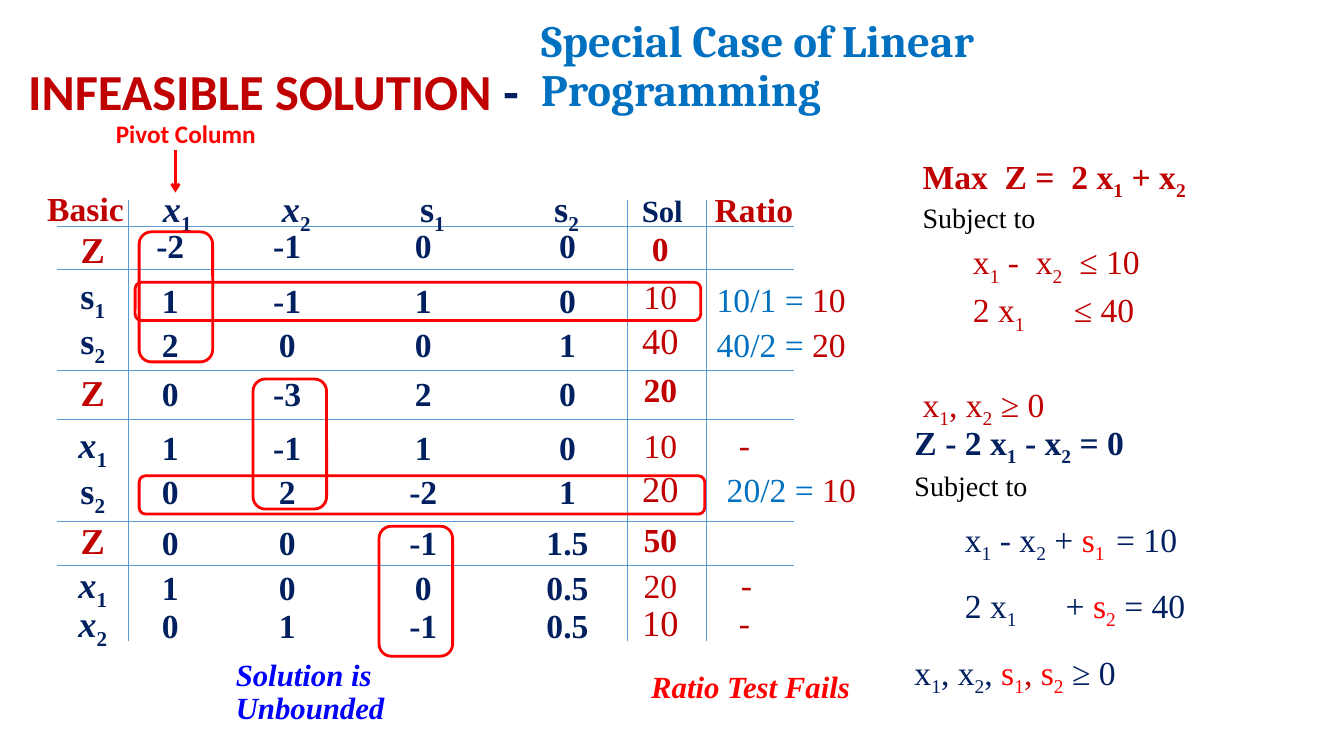
import pptx
import pptx.util
import pptx.dml.color
import pptx.enum.shapes
import pptx.enum.text
import pptx.oxml
import pptx.oxml.ns

Inches, Pt = pptx.util.Inches, pptx.util.Pt
ALIGN = pptx.enum.text.PP_ALIGN
ANCHOR = pptx.enum.text.MSO_ANCHOR

# ---- Content ("_" puts the next character in subscript) ----
DARK_RED, RED, NAVY, BLUE = "C00000", "FF0000", "002060", "0070C0"
BLACK, PURE_BLUE, RULE = "000000", "0000FF", "5B9BD5"
SERIF = "Times New Roman"

HEADINGS = ["x_1", "x_2", "s_1", "s_2"]
HEADING_CENTRES = [1.76, 2.94, 4.29, 5.62, 6.57]
COLUMN_CENTRES = [1.69, 2.85, 4.2, 5.63]

# basic variable, coefficients, solution, its size, tops of the three parts
TABLEAU = [
    ("Z", ["-2", "-1", "0", "0"], "0", 24, (2.25, 2.23, 2.26)),
    ("s_1", ["1", "-1", "1", "0"], "10", 24, (2.67, 2.77, 2.73)),
    ("s_2", ["2", "0", "0", "1"], "40", 26, (3.11, 3.21, 3.16)),
    ("Z", ["0", "-3", "2", "0"], "20", 24, (3.67, 3.7, 3.66)),
    ("x_1", ["1", "-1", "1", "0"], "10", 24, (4.14, 4.23, 4.21)),
    ("s_2", ["0", "2", "-2", "1"], "20", 26, (4.6, 4.67, 4.62)),
    ("Z", ["0", "0", "-1", "1.5"], "50", 24, (5.14, 5.17, 5.14)),
    ("x_1", ["1", "0", "0", "0.5"], "20", 24, (5.53, 5.62, 5.6)),
    ("x_2", ["0", "1", "-1", "0.5"], "10", 26, (5.92, 6.0, 5.95)),
]
# left, top, quotient, result
RATIOS = [
    (7.01, 2.76, "10/1 = ", "10"), (7.01, 3.21, "40/2 = ", "20"),
    (7.23, 4.2, "", "-"), (7.11, 4.65, "20/2 = ", "10"),
    (7.25, 5.59, "", "-"), (7.23, 5.97, "", "-"),
]
ROW_RULES = [2.25, 2.67, 3.67, 4.16, 5.17, 5.61]
COLUMN_RULES = [1.27, 6.22, 7.01]
PIVOT_COLUMNS = [(1.38, 2.3), (2.51, 3.76), (3.76, 5.22)]
PIVOT_ROWS = [(1.34, 2.8), (1.38, 4.72)]

# runs, size, bold, space before, space after, tab stops
PROBLEM = [
    ([("Max  Z =  2 x_1 + x_2", DARK_RED)], 24, True, 5, 0, []),
    ([("Subject to", BLACK)], 20, False, 5, 0, []),
    ([("\tx_1 -  x_2  ≤ 10", DARK_RED)], 24, False, 5, 0, [0.58]),
    ([("\t2 x_1\t≤ 40", DARK_RED)], 24, False, 5, 0, [0.33, 1.52]),
    ([("x_1, x_2 ≥ 0", DARK_RED)], 24, False, 38, 0, []),
]
STANDARD_FORM = [
    ([("Z - 2 x_1 - x_2 = 0", NAVY)], 24, True, 5, 0, []),
    ([("Subject to", BLACK)], 20, False, 6, 0, []),
    ([("\tx_1 - x_2 + ", NAVY), ("s_1", RED), ("\t= 10", NAVY)],
     24, False, 12, 6, [0.58, 2.5]),
    ([("\t2 x_1\t+ ", NAVY), ("s_2", RED), (" = 40", NAVY)],
     24, False, 12, 6, [0.33, 1.98]),
    ([("x_1, x_2, ", NAVY), ("s_1", RED), (", ", DARK_RED), ("s_2", RED),
      (" ≥ 0", NAVY)], 24, False, 12, 6, []),
]

presentation = pptx.Presentation()
presentation.slide_width, presentation.slide_height = Inches(13.33), Inches(7.5)
slide = presentation.slides.add_slide(presentation.slide_layouts[3])
title, problem, standard_form = slide.placeholders


# ---- Helpers ----
def colour(value):
    return pptx.dml.color.RGBColor.from_string(value)


def add_runs(paragraph, text, hue, size, bold=False, italic=False, font=SERIF):
    first, *rest = text.split("_")
    pieces = [(first, False)]
    for part in rest:
        pieces += [(part[0], True), (part[1:], False)]
    for piece, subscript in pieces:
        if not piece:
            continue
        run = paragraph.add_run()
        run.text = piece
        run.font.name, run.font.size = font, Pt(size)
        run.font.bold, run.font.italic = bold, italic and not subscript
        run.font.color.rgb = colour(hue)
        if subscript:
            run.font._element.set("baseline", "-25000")


def set_tabs(paragraph, stops, align):
    stop_list = pptx.oxml.parse_xml(
        "<a:tabLst %s/>" % pptx.oxml.ns.nsdecls("a"))
    for stop in stops:
        tab = stop_list.makeelement(pptx.oxml.ns.qn("a:tab"),
                                    {"pos": str(Inches(stop)), "algn": align})
        stop_list.append(tab)
    paragraph._p.get_or_add_pPr().append(stop_list)


def place(shape, left, top, width, height):
    shape.left, shape.top = Inches(left), Inches(top)
    shape.width, shape.height = Inches(width), Inches(height)
    shape.text_frame.word_wrap = True
    shape.text_frame.auto_size = pptx.enum.text.MSO_AUTO_SIZE.NONE


def add_text(left, top, width, height, align=ALIGN.LEFT, before=5, spacing=0.9):
    box = slide.shapes.add_textbox(0, 0, 0, 0)
    place(box, left, top, width, height)
    paragraph = box.text_frame.paragraphs[0]
    paragraph.alignment = align
    paragraph.line_spacing, paragraph.space_before = spacing, Pt(before)
    return paragraph


def add_line(x1, y1, x2, y2, hue, weight):
    line = slide.shapes.add_connector(
        pptx.enum.shapes.MSO_CONNECTOR.STRAIGHT,
        Inches(x1), Inches(y1), Inches(x2), Inches(y2))
    line.line.color.rgb, line.line.width = colour(hue), Pt(weight)
    line._element.spPr.append(pptx.oxml.parse_xml(
        "<a:effectLst %s/>" % pptx.oxml.ns.nsdecls("a")))
    return line


def fill_formulation(body, lines):
    for number, (runs, size, bold, before, after, stops) in enumerate(lines):
        frame = body.text_frame
        paragraph = frame.add_paragraph() if number else frame.paragraphs[0]
        paragraph.line_spacing = 0.9
        paragraph.space_before, paragraph.space_after = Pt(before), Pt(after)
        properties = paragraph._p.get_or_add_pPr()
        properties.set("marL", "0")
        properties.set("indent", "0")
        properties.append(pptx.oxml.parse_xml(
            "<a:buNone %s/>" % pptx.oxml.ns.nsdecls("a")))
        if stops:
            set_tabs(paragraph, stops, "l")
        for text, hue in runs:
            add_runs(paragraph, text, hue, size, bold)


# ---- Tableau rules ----
for y in ROW_RULES:
    add_line(0.57, y, 7.88, y, RULE, 0.5)
for x in COLUMN_RULES:
    add_line(x, 1.98, x, 6.36, RULE, 0.5)

# ---- Title ----
place(title, 0.18, 0.55, 5.31, 0.7)
title.text_frame.vertical_anchor = ANCHOR.BOTTOM
heading = title.text_frame.paragraphs[0]
heading.alignment, heading.line_spacing = ALIGN.LEFT, 0.9
add_runs(heading, "INFEASIBLE SOLUTION ", DARK_RED, 36, True, font="Calibri")
add_runs(heading, "-", NAVY, 36, True, font="Calibri")
topic = add_text(5.27, 0.5, 7.1, 0.7, before=0)
topic._parent.vertical_anchor = ANCHOR.BOTTOM
add_runs(topic, "Special Case of Linear Programming", BLUE, 32, True,
         font="Cambria")

# ---- Tableau headings ----
add_runs(add_text(0.37, 1.86, 1.01, 0.42), "Basic", DARK_RED, 24, True)
headings = add_text(1.24, 1.8, 5.93, 0.42)
set_tabs(headings, [centre - 1.34 for centre in HEADING_CENTRES], "ctr")
for name in HEADINGS:
    add_runs(headings, "\t" + name, NAVY, 26, True, name.startswith("x"))
add_runs(headings, "\tSol", NAVY, 22, True)
add_runs(add_text(6.99, 1.87, 1, 0.38), "Ratio", DARK_RED, 24, True)

# ---- Tableau rows ----
for basic, coefficients, solution, size, tops in TABLEAU:
    basic_top, row_top, solution_top = tops
    objective = basic == "Z"
    add_runs(add_text(0.57, basic_top, 0.7, 0.42, ALIGN.CENTER), basic,
             DARK_RED if objective else NAVY, 26, True, basic.startswith("x"))
    row = add_text(1.25, row_top, 4.98, 0.4)
    set_tabs(row, [centre - 1.35 for centre in COLUMN_CENTRES], "ctr")
    add_runs(row, "\t" + "\t".join(coefficients), NAVY, 24, True)
    add_runs(add_text(6.2, solution_top, 0.7, 0.47, ALIGN.CENTER), solution,
             DARK_RED, size, objective)

for left, top, quotient, result in RATIOS:
    ratio = add_text(left, top, 1.6, 0.47)
    add_runs(ratio, quotient, BLUE, 24)
    add_runs(ratio, result, DARK_RED, 24)

# ---- Pivot marks ----
pivots = [(left, top, 0.73, 1.29) for left, top in PIVOT_COLUMNS]
pivots += [(left, top, 5.61, 0.38) for left, top in PIVOT_ROWS]
for bounds in pivots:
    pivot = slide.shapes.add_shape(
        pptx.enum.shapes.MSO_SHAPE.ROUNDED_RECTANGLE, *map(Inches, bounds))
    pivot.shadow.inherit = False
    pivot.fill.background()
    pivot.line.color.rgb, pivot.line.width = colour(RED), Pt(2)

add_runs(add_text(1.05, 1.12, 1.76, 0.4, before=0, spacing=1.0),
         "Pivot Column", RED, 18, True, font="Calibri")
arrow = add_line(1.74, 1.49, 1.74, 1.91, RED, 2)
arrow.line._get_or_add_ln().append(pptx.oxml.parse_xml(
    '<a:tailEnd type="arrow" %s/>' % pptx.oxml.ns.nsdecls("a")))

# ---- Formulations ----
place(problem, 9.05, 1.5, 3.77, 2.77)
fill_formulation(problem, PROBLEM)
place(standard_form, 8.97, 4.14, 4.25, 3.06)
fill_formulation(standard_form, STANDARD_FORM)

# ---- Conclusions ----
add_runs(add_text(2.24, 6.5, 2.3, 0.76), "Solution is Unbounded",
         PURE_BLUE, 22, True, True)
add_runs(add_text(6.36, 6.62, 2.3, 0.5), "Ratio Test Fails",
         RED, 22, True, True)

presentation.save("out.pptx")
